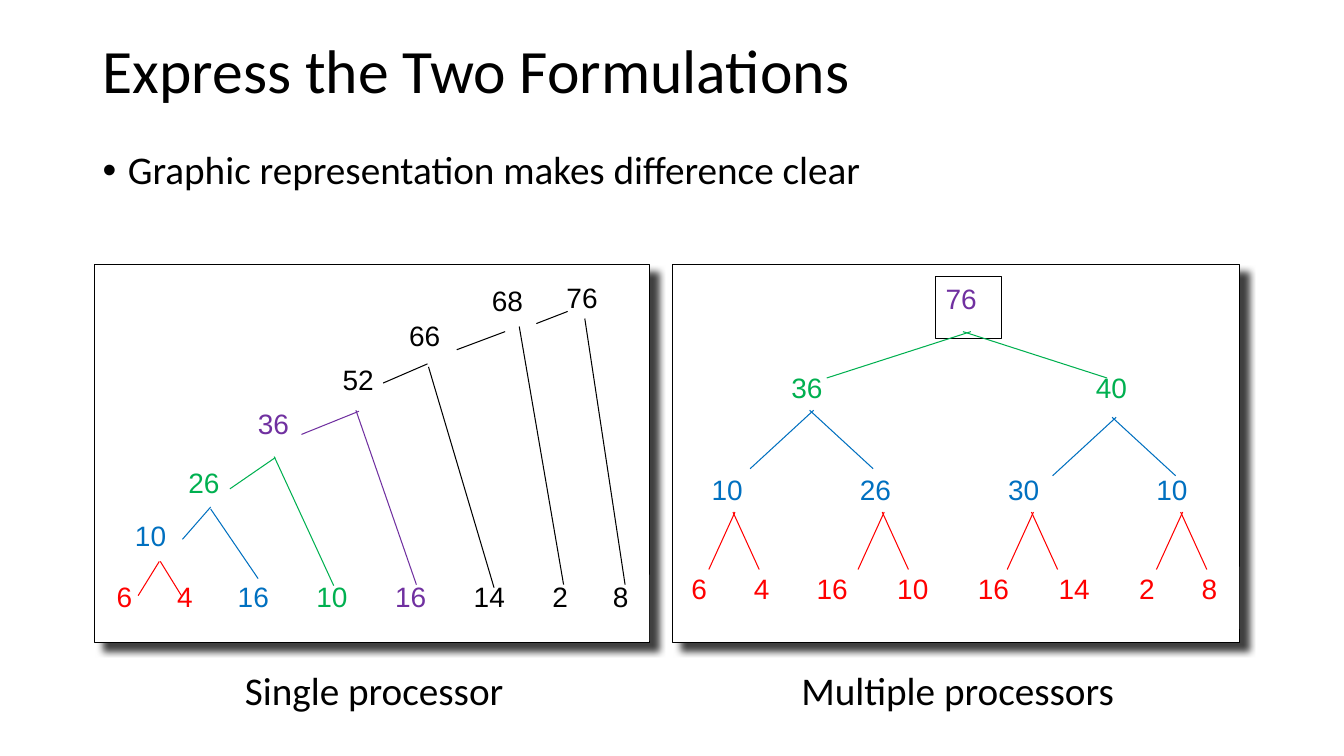
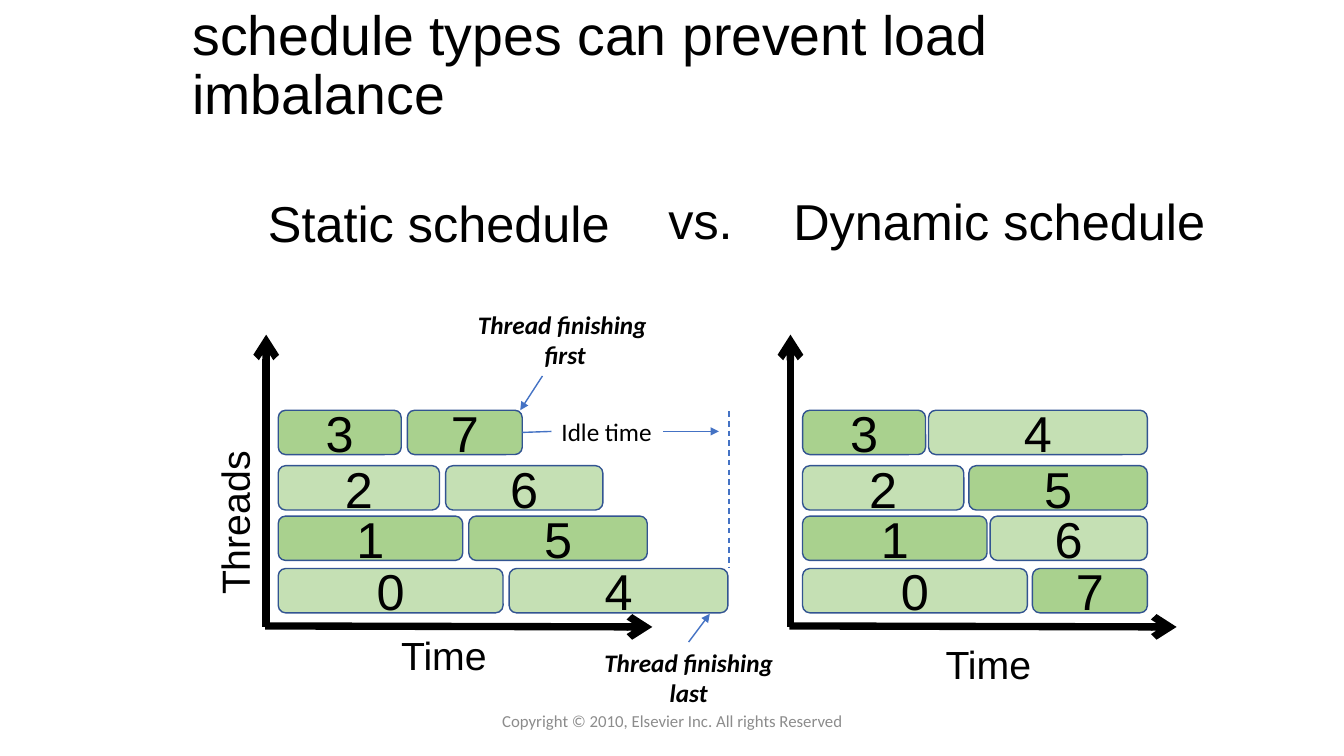
from lxml import etree
from pptx import Presentation
from pptx.dml.color import RGBColor
from pptx.enum.dml import MSO_LINE
from pptx.enum.shapes import MSO_CONNECTOR, MSO_SHAPE
from pptx.enum.text import MSO_ANCHOR, PP_ALIGN
from pptx.oxml.ns import qn
from pptx.util import Inches, Pt

RECT = MSO_SHAPE.RECTANGLE
ROUNDED = MSO_SHAPE.ROUNDED_RECTANGLE
STRAIGHT = MSO_CONNECTOR.STRAIGHT
DASH = MSO_LINE.DASH
TOP, MIDDLE = MSO_ANCHOR.TOP, MSO_ANCHOR.MIDDLE
LEFT, CENTER = PP_ALIGN.LEFT, PP_ALIGN.CENTER
SITE_TOP, SITE_LEFT, SITE_RIGHT = 0, 1, 3

COLORS = {
    "black": "000000", "white": "FFFFFF", "gray": "8C8C8C",
    "red": "FF0000", "blue": "0070C0", "green": "00B050", "purple": "7030A0",
    "light task": "C5E0B4", "dark task": "A9D18E",
    "task edge": "325491", "callout": "4472C4",
}

SERIAL_LEAVES = [("6", "red"), ("4", "red"), ("16", "blue"), ("10", "green"),
                 ("16", "purple"), ("14", "black"), ("2", "black"), ("8", "black")]
SERIAL_SUMS = [
    ("10", "blue", 0.3, 2.47, (0.43, 3.29, 0.64, 2.95), (0.65, 2.95, 0.86, 3.29)),
    ("26", "green", 0.83, 1.95, (0.87, 2.73, 1.15, 2.41), (1.15, 2.43, 1.62, 3.12)),
    ("36", "purple", 1.52, 1.36, (1.34, 2.23, 1.79, 1.92), (1.78, 1.91, 2.37, 3.19)),
    ("52", "black", 2.36, 0.93, (2.05, 1.69, 2.62, 1.46), (2.59, 1.45, 3.19, 3.18)),
    ("66", "black", 3.02, 0.49, (2.86, 1.18, 3.3, 0.99), (3.31, 1.02, 3.96, 3.21)),
    ("68", "black", 3.84, 0.14, (3.59, 0.85, 4.07, 0.67), (4.21, 0.62, 4.65, 3.18)),
    ("76", "black", 4.58, 0.11, (4.38, 0.59, 4.69, 0.47), (4.86, 0.54, 5.26, 3.18)),
]
PARALLEL_LEAVES = [(value, "red") for value in ("6", "4", "16", "10", "16", "14", "2", "8")]
PARALLEL_SUMS = [
    ("blue", 2.02, 0.29, 1.47, ("10", "26", "30", "10")),
    ("green", 1.01, 1.08, 3.02, ("36", "40")),
]
PARALLEL_FORKS = [("red", 0.61 + 1.48 * pair, 2.46, 0.25, 0.57, 0.01) for pair in range(4)] + [
    ("blue", 1.38, 1.45, 0.61, 0.58, 0.02),
    ("blue", 4.38, 1.52, 0.61, 0.58, 0.02),
    ("green", 2.92, 0.67, 1.39, 0.46, 0.04),
]
TASK_LENGTHS = [2.23, 1.83, 1.6, 1.22, 2.17, 1.77, 1.56, 1.14]
THREAD_TOPS = [2.32, 1.8, 1.3, 0.75]
TASK_HEIGHT = 0.44


def rgb(color):
    return RGBColor.from_string(COLORS[color])


def write(shape, text, size=20, font="Arial", color="black", bold=False, italic=False,
          align=LEFT, anchor=TOP, wrap=True, spacing=None, bullet=False):
    frame = shape.text_frame
    frame.word_wrap = wrap
    frame.vertical_anchor = anchor
    paragraph = frame.paragraphs[0]
    paragraph.text = text
    paragraph.alignment = align
    if spacing:
        paragraph.line_spacing = spacing
    if bullet:
        properties = paragraph._p.get_or_add_pPr()
        properties.set("marL", str(Inches(0.25)))
        properties.set("indent", str(Inches(-0.25)))
        etree.SubElement(properties, qn("a:buFont")).set("typeface", "Arial")
        etree.SubElement(properties, qn("a:buChar")).set("char", "•")
    for run in paragraph.runs:
        run.font.size = Pt(size)
        run.font.name = font
        run.font.bold = bold
        run.font.italic = italic
        run.font.color.rgb = rgb(color)


def add_label(slide, text, left, top, width, height, **style):
    label = slide.shapes.add_textbox(Inches(left), Inches(top), Inches(width), Inches(height))
    write(label, text, **style)
    return label


def add_box(slide, left, top, width, height, kind=RECT, fill="white", edge=None, weight=0.75):
    box = slide.shapes.add_shape(kind, Inches(left), Inches(top), Inches(width), Inches(height))
    box.shadow.inherit = False
    box.fill.solid()
    box.fill.fore_color.rgb = rgb(fill)
    if edge:
        box.line.color.rgb = rgb(edge)
        box.line.width = Pt(weight)
    else:
        box.line.fill.background()
    return box


def add_line(slide, x1, y1, x2, y2, color="callout", weight=1, tail=None, dash=None):
    line = slide.shapes.add_connector(STRAIGHT, Inches(x1), Inches(y1), Inches(x2), Inches(y2))
    line.line.color.rgb = rgb(color)
    line.line.width = Pt(weight)
    if dash:
        line.line.dash_style = dash
    if tail:
        etree.SubElement(line.line._get_or_add_ln(), qn("a:tailEnd")).set("type", tail)
    etree.SubElement(line._element.spPr, qn("a:effectLst"))
    return line


def add_title(slide, text, left, top, width, height, **style):
    add_label(slide, text, left, top, width, height, anchor=MIDDLE, spacing=0.9, **style)


def add_panel(slide, left, top, width, height):
    panel = add_box(slide, left, top, width, height, edge="black")
    effects = panel._element.spPr.find(qn("a:effectLst"))
    shadow = etree.SubElement(effects, qn("a:outerShdw"), blurRad=str(Pt(5)),
                              dist=str(Pt(8.5)), dir="2700000", algn="tl", rotWithShape="0")
    shade = etree.SubElement(shadow, qn("a:srgbClr"), val=COLORS["black"])
    etree.SubElement(shade, qn("a:alpha"), val="75000")


def add_number(slide, value, color, left, top, width, height, edge=None):
    write(add_box(slide, left, top, width, height, edge=edge), value, color=color)


def add_leaves(slide, leaves, left, top, widths, height, gap):
    for value, color in leaves:
        width = widths[len(value) - 1]
        add_number(slide, value, color, left, top, width, height)
        left += width + gap


def add_link(slide, left, top, ends, color):
    x1, y1, x2, y2 = ends
    add_line(slide, left + x1, top + y1, left + x2, top + y2, color=color, weight=0.75)


def add_serial_tree(slide, left, top, width, height):
    add_panel(slide, left, top, width, height)
    add_leaves(slide, SERIAL_LEAVES, left + 0.12, top + 3.08, (0.46, 0.64), 0.66, 0.14)
    for value, color, x, y, *_ in SERIAL_SUMS:
        add_number(slide, value, color, left + x, top + y, 0.64, 0.66)
    operand_color = "red"
    for _, color, _, _, *links in SERIAL_SUMS:
        for ends in links:
            add_link(slide, left, top, ends, operand_color)
        operand_color = color


def add_parallel_tree(slide, left, top, width, height):
    add_panel(slide, left, top, width, height)
    add_leaves(slide, PARALLEL_LEAVES, left + 0.09, top + 3, (0.47, 0.65), 0.62, 0.15)
    for color, y, start, step, values in PARALLEL_SUMS:
        for index, value in enumerate(values):
            add_number(slide, value, color, left + start + step * index, top + y, 0.65, 0.62)
    add_number(slide, "76", "purple", left + 2.61, top + 0.12, 0.65, 0.62, edge="black")
    for color, apex, y, half, drop, overlap in PARALLEL_FORKS:
        for side in (-1, 1):
            ends = (apex + side * half, y + drop, apex - side * overlap, y)
            add_link(slide, left, top, ends, color)


def add_schedule(slide, left, top, second_tasks, finish=None):
    add_line(slide, left, top + 2.9, left, top, color="black", weight=5.25, tail="arrow")
    add_line(slide, left - 0.01, top + 2.89, left + 3.83, top + 2.9,
             color="black", weight=5.25, tail="arrow")
    blocks = {}
    for first, (second, y) in enumerate(zip(second_tasks, THREAD_TOPS)):
        second_left = 0.18 + TASK_LENGTHS[first]
        if finish:
            second_left = finish - TASK_LENGTHS[second]
        for task, x in ((first, 0.12), (second, second_left)):
            fill = "dark task" if task % 2 else "light task"
            blocks[task] = add_box(slide, left + x, top + y, TASK_LENGTHS[task], TASK_HEIGHT,
                                   kind=ROUNDED, fill=fill, edge="task edge", weight=1)
            write(blocks[task], str(task), size=36, align=CENTER, anchor=MIDDLE)
    return blocks


def add_callouts(slide, left, top, first_finished):
    emphasis = dict(size=18, font="Calibri", bold=True, italic=True, align=CENTER, wrap=False)
    add_label(slide, "Thread finishing \vfirst", left + 1.99, top - 0.3, 1.95, 0.71, **emphasis)
    add_line(slide, left + 2.74, top + 0.41, left + 2.52, top + 0.75, tail="triangle")
    last = add_label(slide, "Thread finishing\vlast", left + 3.25, top + 3.05, 1.88, 0.71,
                     **emphasis)
    to_last = add_line(slide, left + 4.19, top + 3.05, left + 4.4, top + 2.77, tail="triangle")
    to_last.begin_connect(last, SITE_TOP)
    idle = add_label(slide, "Idle time", left + 2.83, top + 0.76, 1.11, 0.4,
                     size=18, font="Calibri", wrap=False)
    idle_start = add_line(slide, left + 2.52, top + 0.97, left + 2.83, top + 0.96)
    idle_start.begin_connect(first_finished, SITE_RIGHT)
    idle_start.end_connect(idle, SITE_LEFT)
    idle_end = add_line(slide, left + 3.94, top + 0.96, left + 4.49, top + 0.96, tail="triangle")
    idle_end.begin_connect(idle, SITE_RIGHT)
    add_line(slide, left + 4.59, top + 0.76, left + 4.59, top + 2.32, dash=DASH)


def build_formulations(slide):
    add_title(slide, "Express the Two Formulations", 0.92, 0, 11.5, 1.45, size=44, font="Calibri")
    add_label(slide, "Graphic representation makes difference clear", 0.92, 1.45, 11.5, 0.6,
              size=28, font="Calibri", spacing=0.9, bullet=True)
    add_serial_tree(slide, 0.94, 2.62, 5.5, 3.75)
    add_parallel_tree(slide, 6.67, 2.62, 5.62, 3.75)
    for caption, left, width in (("Single processor", 2.33, 2.79),
                                 ("Multiple processors", 7.85, 3.34)):
        add_label(slide, caption, left, 6.56, width, 0.57, size=28, font="Calibri", wrap=False)


def build_schedules(slide):
    add_title(slide, "schedule types can prevent load imbalance", 1.81, 0.28, 9.33, 0.77, size=39.6)
    for heading, left, top, width in (("Static schedule", 2.56, 1.86, 3.63),
                                      ("vs.", 6.53, 1.83, 0.85),
                                      ("Dynamic schedule", 7.77, 1.84, 4.33)):
        add_label(slide, heading, left, top, width, 0.71, size=36, wrap=False)
    threads = add_label(slide, "Threads", 1.5, 4.89, 1.65, 0.57, size=28, wrap=False)
    threads.rotation = 270
    for left, top in ((3.88, 6.21), (9.28, 6.3)):
        add_label(slide, "Time", left, top, 1.06, 0.57, size=28, wrap=False)
    static_blocks = add_schedule(slide, 2.64, 3.32, (4, 5, 6, 7))
    add_schedule(slide, 7.84, 3.32, (7, 6, 5, 4), finish=3.54)
    add_callouts(slide, 2.64, 3.32, static_blocks[7])
    add_label(slide, "Copyright © 2010, Elsevier Inc. All rights Reserved", 4.42, 6.95, 4.5, 0.4,
              size=12, font="Calibri", color="gray", align=CENTER, anchor=MIDDLE)


def main():
    deck = Presentation()
    deck.slide_width = Inches(13.33)
    deck.slide_height = Inches(7.5)
    for build in (build_formulations, build_schedules):
        build(deck.slides.add_slide(deck.slide_layouts[6]))
    deck.save("out.pptx")


if __name__ == "__main__":
    main()
